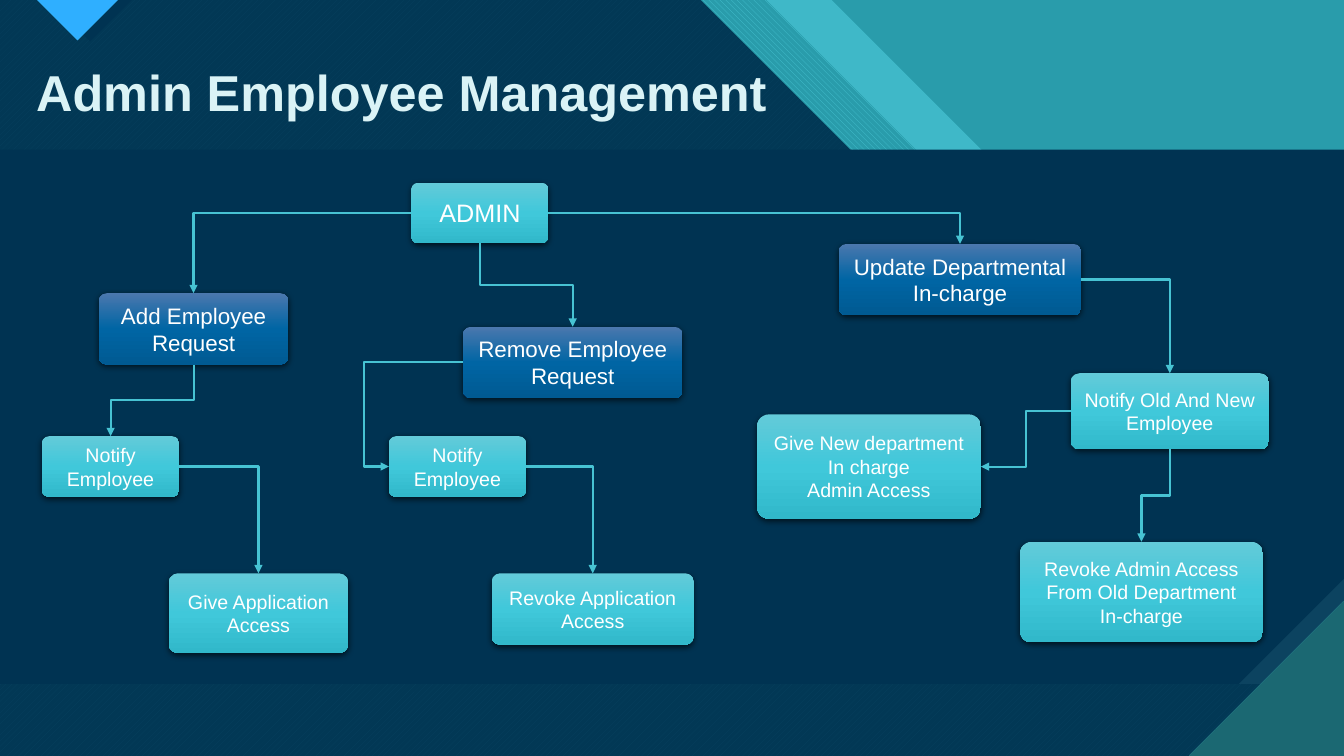
from pptx import Presentation
from pptx.dml.color import RGBColor
from pptx.enum.dml import MSO_PATTERN
from pptx.enum.shapes import MSO_CONNECTOR, MSO_SHAPE
from pptx.enum.text import MSO_ANCHOR, PP_ALIGN
from pptx.oxml import parse_xml
from pptx.oxml.ns import nsdecls, qn
from pptx.util import Pt

WIDTH, HEIGHT = 960, 540
PANEL_TOP, PANEL_BOTTOM, PANEL_SNIP = 106.9, 488.5, 75.2
FONT = "Arial"

WHITE = RGBColor(0xFF, 0xFF, 0xFF)
PALE = RGBColor(0xDA, 0xF3, 0xF6)
AQUA = RGBColor(0x47, 0xC3, 0xD3)
TEAL = RGBColor(0x29, 0x9C, 0xAB)
DEEP_TEAL = RGBColor(0x1B, 0x68, 0x72)
NAVY = RGBColor(0x00, 0x33, 0x52)
SLATE = RGBColor(0x0C, 0x43, 0x60)
SKY = RGBColor(0x2F, 0xAF, 0xFF)
AQUA_GRADIENT = (RGBColor(0x63, 0xCA, 0xD9), RGBColor(0x40, 0xC8, 0xDA), RGBColor(0x31, 0xB8, 0xCA))
BLUE_GRADIENT = (RGBColor(0x4B, 0x78, 0xAE), RGBColor(0x00, 0x65, 0xA4), RGBColor(0x00, 0x5A, 0x92))

TOP, LEFT, BOTTOM, RIGHT = range(4)

# name: (text, left, top, width, height, text size, gradient)
BOXES = {
    "admin": ("ADMIN", 293.8, 130.5, 98, 43.2, 18, AQUA_GRADIENT),
    "add": ("Add Employee Request", 70.6, 209.4, 135.4, 51, 16, BLUE_GRADIENT),
    "remove": ("Remove Employee Request", 330.6, 233.4, 157, 51, 16, BLUE_GRADIENT),
    "update": ("Update Departmental In-charge", 599, 174.2, 173.5, 51, 16, BLUE_GRADIENT),
    "notify added": ("Notify Employee", 30, 311.6, 98, 43.2, 14, AQUA_GRADIENT),
    "notify removed": ("Notify Employee", 277.8, 311.6, 98, 43.2, 14, AQUA_GRADIENT),
    "give access": ("Give Application Access", 120.5, 409.5, 128.2, 56.9, 14, AQUA_GRADIENT),
    "revoke access": ("Revoke Application Access", 351.4, 409.5, 144, 51, 14, AQUA_GRADIENT),
    "notify both": ("Notify Old And New Employee", 764.8, 266.6, 141.6, 54.4, 14, AQUA_GRADIENT),
    "give admin": ("Give New department In charge\nAdmin Access", 540.8, 296, 159.8, 74.6, 14, AQUA_GRADIENT),
    "revoke admin": ("Revoke Admin Access From Old Department In-charge", 728.6, 387, 173.5, 71.8, 14, AQUA_GRADIENT),
}

# (from, side, to, side, position of the bend where it is not halfway)
LINKS = [
    ("admin", LEFT, "add", TOP, None),
    ("admin", BOTTOM, "remove", TOP, None),
    ("admin", RIGHT, "update", TOP, None),
    ("add", BOTTOM, "notify added", TOP, None),
    ("notify added", RIGHT, "give access", TOP, None),
    ("remove", LEFT, "notify removed", LEFT, 1.34),
    ("notify removed", RIGHT, "revoke access", TOP, None),
    ("update", RIGHT, "notify both", TOP, None),
    ("notify both", LEFT, "give admin", RIGHT, None),
    ("notify both", BOTTOM, "revoke admin", TOP, None),
]


def add_outline(page, points, color, back=None, pattern=None, alpha=None):
    start, *others = [(Pt(x), Pt(y)) for x, y in points]
    builder = page.shapes.build_freeform(*start, scale=1.0)
    builder.add_line_segments(others, close=True)
    shape = builder.convert_to_shape()
    shape.shadow.inherit = False
    shape.line.fill.background()
    if pattern is not None:
        shape.fill.patterned()
        shape.fill.pattern = pattern
        shape.fill.fore_color.rgb = color
        shape.fill.back_color.rgb = back
    else:
        shape.fill.solid()
        shape.fill.fore_color.rgb = color
    if alpha is not None:
        tint = shape._element.spPr.find(qn("a:solidFill"))[0]
        tint.append(parse_xml(f'<a:alpha {nsdecls("a")} val="{alpha * 1000}"/>'))


def band(edge, ledge):
    """Area left of a diagonal that runs down from edge to a ledge."""
    knee = 213.8
    return [(0, 0), (edge, 0), (edge + knee, knee), (ledge, knee),
            (WIDTH, knee + WIDTH - ledge), (WIDTH, HEIGHT), (0, HEIGHT)]


def marker(left, width, height):
    return [(left, 0), (left + width, 0), (left + width / 2, height)]


def add_backdrop(page):
    page.background.fill.solid()
    page.background.fill.fore_color.rgb = AQUA
    full = [(0, 0), (WIDTH, 0), (WIDTH, HEIGHT), (0, HEIGHT)]
    add_outline(page, full, TEAL)
    # Diagonal bands
    add_outline(page, band(594, 888.5), AQUA, alpha=74)
    add_outline(page, band(547.2, 852.5), AQUA, TEAL, MSO_PATTERN.WIDE_DOWNWARD_DIAGONAL)
    navy_band = band(500.4, 805)
    add_outline(page, navy_band, AQUA, DEEP_TEAL, MSO_PATTERN.WIDE_UPWARD_DIAGONAL)
    add_outline(page, navy_band, NAVY, alpha=90)
    # Marker above the title
    add_outline(page, marker(34.5, 59.8, 29.5), NAVY)
    add_outline(page, marker(26.6, 57.6, 28.8), SKY, DEEP_TEAL, MSO_PATTERN.DARK_HORIZONTAL)
    # Content panel, with its lower right corner cut off
    upper = [(0, PANEL_TOP), (WIDTH, PANEL_TOP)]
    add_outline(page, upper + [(WIDTH, PANEL_BOTTOM), (0, PANEL_BOTTOM)],
                SLATE, DEEP_TEAL, MSO_PATTERN.DARK_VERTICAL)
    add_outline(page, upper + [(WIDTH, PANEL_BOTTOM - PANEL_SNIP),
                               (WIDTH - PANEL_SNIP, PANEL_BOTTOM), (0, PANEL_BOTTOM)], NAVY)
    # Corner
    add_outline(page, [(849, HEIGHT), (WIDTH, HEIGHT), (WIDTH, 429)],
                DEEP_TEAL, AQUA, MSO_PATTERN.DARK_HORIZONTAL)


def format_text(frame, size, color, bold=False):
    for paragraph in frame.paragraphs:
        for span in paragraph.runs:
            span.font.name = FONT
            span.font.size = Pt(size)
            span.font.bold = bold
            span.font.color.rgb = color


def add_title(page, text):
    box = page.shapes.add_textbox(Pt(18.7), Pt(40.3), Pt(541.4), Pt(51))
    box.text_frame.word_wrap = False
    box.text_frame.text = text
    format_text(box.text_frame, 36, PALE, bold=True)


def add_box(page, text, left, top, width, height, size, gradient):
    box = page.shapes.add_shape(MSO_SHAPE.ROUNDED_RECTANGLE, Pt(left), Pt(top), Pt(width), Pt(height))
    box.adjustments[0] = 0.115
    box.line.fill.background()
    # Gradient from top to bottom
    stops = "".join(f'<a:gs pos="{place}"><a:srgbClr val="{color}"/></a:gs>'
                    for place, color in zip((0, 50000, 100000), gradient))
    box.fill.background()
    properties = box._element.spPr
    properties.replace(properties.find(qn("a:noFill")), parse_xml(
        f'<a:gradFill {nsdecls("a")} rotWithShape="1"><a:gsLst>{stops}</a:gsLst>'
        '<a:lin ang="5400000" scaled="0"/></a:gradFill>'))
    # Soft shadow below
    box.shadow.inherit = False
    properties.find(qn("a:effectLst")).append(parse_xml(
        f'<a:outerShdw {nsdecls("a")} blurRad="{Pt(4.5)}" dist="{Pt(1.5)}" dir="5400000" algn="ctr" '
        'rotWithShape="0"><a:srgbClr val="000000"><a:alpha val="63000"/></a:srgbClr></a:outerShdw>'))
    frame = box.text_frame
    frame.word_wrap = True
    frame.vertical_anchor = MSO_ANCHOR.MIDDLE
    frame.text = text
    for paragraph in frame.paragraphs:
        paragraph.alignment = PP_ALIGN.CENTER
    format_text(frame, size, WHITE)
    return box


def side_middle(box, side):
    across, down = {TOP: (1, 0), LEFT: (0, 1), BOTTOM: (1, 2), RIGHT: (2, 1)}[side]
    return box.left + box.width * across // 2, box.top + box.height * down // 2


def add_elbow(page, start, start_side, end, end_side, bend=None):
    x1, y1 = side_middle(start, start_side)
    x2, y2 = side_middle(end, end_side)
    link = page.shapes.add_connector(MSO_CONNECTOR.ELBOW, x1, y1, x2, y2)
    link.begin_connect(start, start_side)
    link.end_connect(end, end_side)
    link.line.color.rgb = AQUA
    link.line.width = Pt(1.5)
    properties = link._element.spPr
    geometry = properties.find(qn("a:prstGeom"))
    if start_side == BOTTOM:
        # Leaves downwards: a quarter turn about the middle
        width, height = y2 - y1, abs(x2 - x1)
        link.left, link.top = (x1 + x2 - width) // 2, (y1 + y2 - height) // 2
        link.width, link.height = width, height
        frame = properties.find(qn("a:xfrm"))
        frame.set("rot", "5400000")
        frame.set("flipH", "0")
        frame.set("flipV", "1" if x2 > x1 else "0")
    elif end_side == TOP:
        geometry.set("prst", "bentConnector2")
    if bend is not None:
        guides = geometry.get_or_add_avLst()
        guides.append(parse_xml(f'<a:gd {nsdecls("a")} name="adj1" fmla="val {round(bend * 100000)}"/>'))
    properties.find(qn("a:ln")).append(parse_xml(f'<a:tailEnd {nsdecls("a")} type="triangle"/>'))
    properties.append(parse_xml(f'<a:effectLst {nsdecls("a")}/>'))


def main():
    deck = Presentation()
    deck.slide_width, deck.slide_height = Pt(WIDTH), Pt(HEIGHT)
    page = deck.slides.add_slide(deck.slide_layouts[6])
    add_backdrop(page)
    add_title(page, "Admin Employee Management")
    # Flow chart
    boxes = {name: add_box(page, *values) for name, values in BOXES.items()}
    for start, start_side, end, end_side, bend in LINKS:
        add_elbow(page, boxes[start], start_side, boxes[end], end_side, bend)
    deck.save("out.pptx")


if __name__ == "__main__":
    main()
